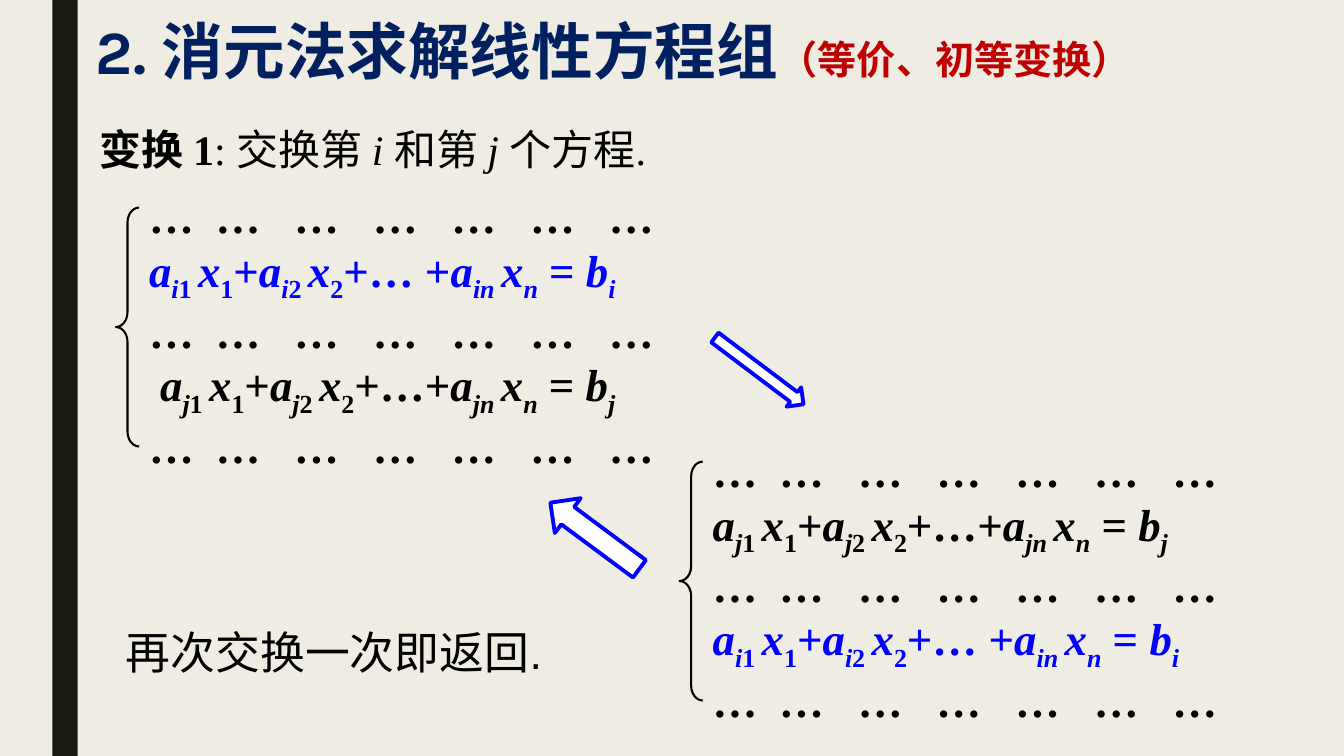
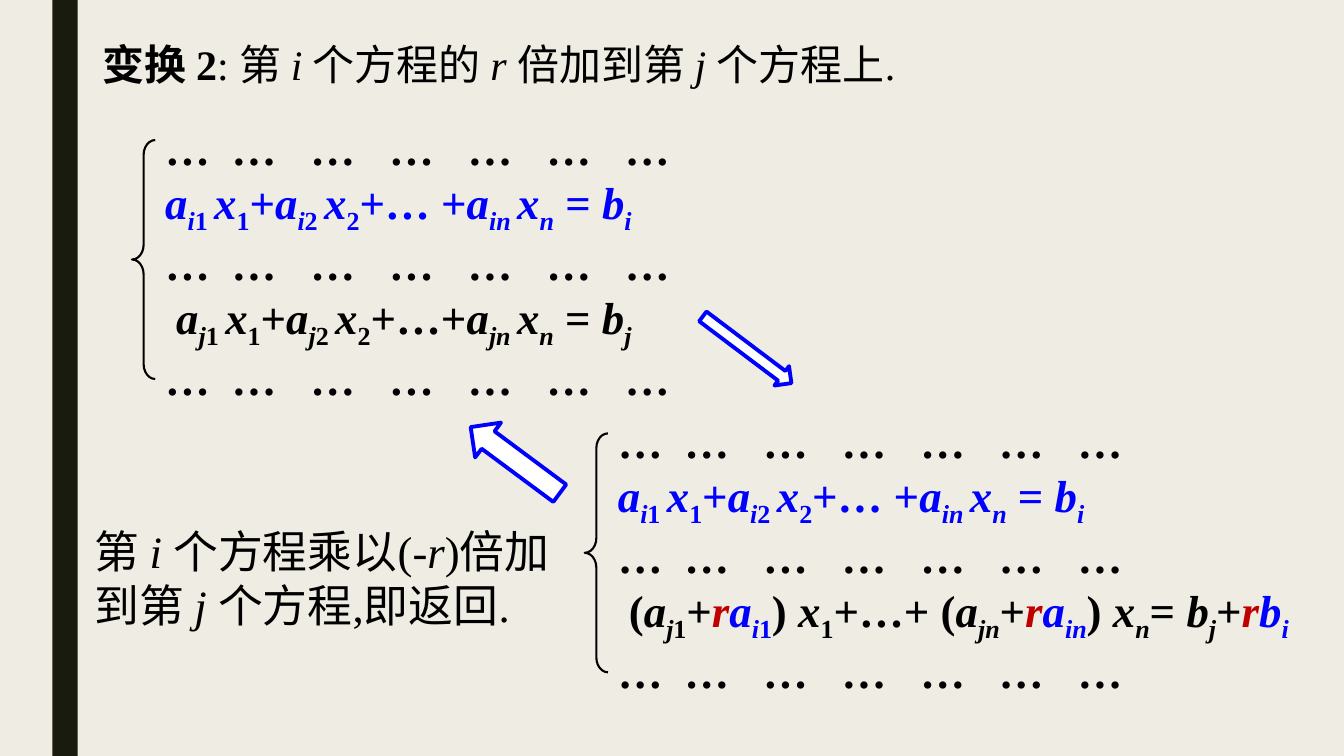
from pptx import Presentation
from pptx.dml.color import RGBColor
from pptx.enum.shapes import MSO_SHAPE
from pptx.enum.text import MSO_ANCHOR, PP_ALIGN
from pptx.oxml.ns import qn
from pptx.util import Inches, Pt
from lxml import etree

RECT, BRACE, ARROW = MSO_SHAPE.RECTANGLE, MSO_SHAPE.LEFT_BRACE, MSO_SHAPE.RIGHT_ARROW
TOP, LEFT = MSO_ANCHOR.TOP, PP_ALIGN.LEFT
TITLE_ONLY, BLANK = 5, 6
COLORS = {"paper": "EFEDE3", "band": "191B0E", "ink": "000000", "blue": "0000FF",
          "red": "C00000", "navy": "002060", "white": "FFFFFF"}
SERIF, SANS, TITLE_FONT = "Times New Roman", "Arial", "Karla"
DOT_TABS = [0.66 + 0.78 * n for n in range(6)]


def rgb(name):
    return RGBColor.from_string(COLORS[name])


def add_run(p, text, color="ink", sub=False, **fmt):
    r = p.add_run()
    r.text = text
    for name, value in fmt.items():
        setattr(r.font, name, value)
    r.font.color.rgb = rgb(color)
    if sub:
        r._r.get_or_add_rPr().set("baseline", "-25000")


def add_shape(shapes, kind, box, fill=None, line=None, width=1.5):
    sp = shapes.add_shape(kind, *map(Inches, box))
    sp.shadow.inherit = False
    if fill:
        sp.fill.solid()
        sp.fill.fore_color.rgb = rgb(fill)
    else:
        sp.fill.background()
    if line:
        sp.line.color.rgb = rgb(line)
        sp.line.width = Pt(width)
    else:
        sp.line.fill.background()
    return sp


def add_arrow(s, box, angle):
    add_shape(s.shapes, ARROW, box, "white", "blue", 2.75).rotation = angle


def add_box(shapes, box):
    tf = shapes.add_textbox(*map(Inches, box)).text_frame
    tf.word_wrap = True
    return tf


def add_statement(s, box, runs, size, font=SERIF):
    """Running text; each run is (text, format)."""
    p = add_box(s.shapes, box).paragraphs[0]
    for text, fmt in runs:
        add_run(p, text, size=Pt(size), name=font, **fmt)


# Equation pieces: each run is (text, format)
def sym(letter, index="", number="", color="ink"):
    parts = [(letter, {"italic": True}), (index, {"italic": True, "sub": True}),
             (number, {"sub": True})]
    return [(text, dict(fmt, color=color)) for text, fmt in parts if text]


def op(text, color="ink"):
    return [(text, {"color": color})]


def equation(k, dots, color="ink"):
    def v(*args):
        return sym(*args, color=color)
    return (v("a", k, "1 ") + v("x", "", "1") + op("+", color)
            + v("a", k, "2 ") + v("x", "", "2") + op(dots, color)
            + v("a", k + "n ") + v("x", "n") + op(" = ", color) + v("b", k))


def combined_equation():
    r = sym("r", color="red")
    return (op("(") + sym("a", "j", "1") + op("+") + r + sym("a", "i", "1", "blue")
            + op(") ") + sym("x", "", "1") + op("+…+ (") + sym("a", "jn") + op("+")
            + r + sym("a", "in", color="blue") + op(") ") + sym("x", "n") + op("= ")
            + sym("b", "j") + op("+") + r + sym("b", "i", color="blue"))


def set_tabs(p, stops):
    tabs = etree.SubElement(p._p.get_or_add_pPr(), qn("a:tabLst"))
    for stop in stops:
        etree.SubElement(tabs, qn("a:tab"), pos=str(Inches(stop)), algn="l")


def add_system(s, x, y, first, second, width=5.36, indent=0.11):
    """Braced system: two equations between rows of dots."""
    group = s.shapes.add_group_shape()
    tf = add_box(group.shapes, (x, y, width, 2.79))
    dots = op("\t".join("…" * 7))
    for n, runs in enumerate([dots, first, dots, second, dots]):
        p = tf.add_paragraph() if n else tf.paragraphs[0]
        if runs is dots:
            set_tabs(p, DOT_TABS)
        elif runs is second and indent:
            p._p.get_or_add_pPr().set("marL", str(Inches(indent)))
        for text, fmt in runs:
            add_run(p, text, size=Pt(32), name=SERIF, bold=True, **fmt)
    brace = add_shape(group.shapes, BRACE, (x - 0.23, y + 0.24, 0.23, 2.37), line="ink")
    brace.adjustments[0] = 0.64


def add_title(s, runs):
    sp = s.shapes.title
    sp.left, sp.top, sp.width, sp.height = map(Inches, (0.85, 0.17, 12.12, 1.25))
    tf = sp.text_frame
    tf.vertical_anchor = TOP
    p = tf.paragraphs[0]
    p.alignment = LEFT
    p.line_spacing = 0.89
    for text, size, color in runs:
        add_run(p, text, color, size=Pt(size), name=TITLE_FONT, bold=True)


def style_master(prs, s):
    """Shared background and side band, moved onto the master."""
    master = prs.slide_master
    master.background.fill.solid()
    master.background.fill.fore_color.rgb = rgb("paper")
    band = add_shape(s.shapes, RECT, (0.52, 0, 0.25, 7.5), "band")
    master.shapes._spTree.insert(2, band._element)


def main():
    prs = Presentation()
    prs.slide_width, prs.slide_height = Inches(13.33), Inches(7.5)
    plain, bold, italic = {}, {"bold": True}, {"italic": True}
    eq_i = equation("i", "+… +", "blue")
    eq_j = equation("j", "+…+")

    # Swapping two equations
    s = prs.slides.add_slide(prs.slide_layouts[TITLE_ONLY])
    style_master(prs, s)
    add_title(s, [("2. 消元法求解线性方程组", 44, "navy"), ("（等价、初等变换）", 28, "red")])
    add_statement(s, (0.89, 1.18, 7.83, 0.61), [
        ("变换 1", bold), (": 交换第 ", plain), ("i ", italic), ("和第 ", plain),
        ("j ", italic), ("个方程.", plain)], 30)
    add_statement(s, (1.15, 6.15, 4.6, 0.64), [("再次交换一次即返回.", plain)], 32, SANS)
    add_system(s, 1.38, 1.82, eq_i, eq_j)
    add_system(s, 6.97, 4.34, eq_j, eq_i, indent=0)
    add_arrow(s, (6.98, 3.56, 1.1, 0.24), 37)
    add_arrow(s, (5.35, 5.1, 1.1, 0.43), 216.6)

    # Adding a multiple of one equation to another
    s = prs.slides.add_slide(prs.slide_layouts[BLANK])
    add_statement(s, (0.92, 0.33, 8.2, 0.61), [
        ("变换 2", bold), (": 第 ", plain), ("i ", italic), ("个方程的 ", plain),
        ("r ", italic), ("倍加到第 ", plain), ("j ", italic), ("个方程上.", plain)], 30)
    add_statement(s, (0.84, 5.15, 4.85, 1.18), [
        ("第 ", plain), ("i ", italic), ("个方程乘以(", plain), ("-r", italic),
        (")倍加到第 ", plain), ("j ", italic), ("个方程,即返回.", plain)], 32)
    add_system(s, 1.54, 1.15, eq_i, eq_j)
    add_system(s, 6.03, 4.06, eq_i, combined_equation(), width=7.03)
    add_arrow(s, (6.86, 3.35, 1.1, 0.24), 37)
    add_arrow(s, (4.56, 4.35, 1.1, 0.43), 216.6)

    prs.save("out.pptx")


if __name__ == "__main__":
    main()
